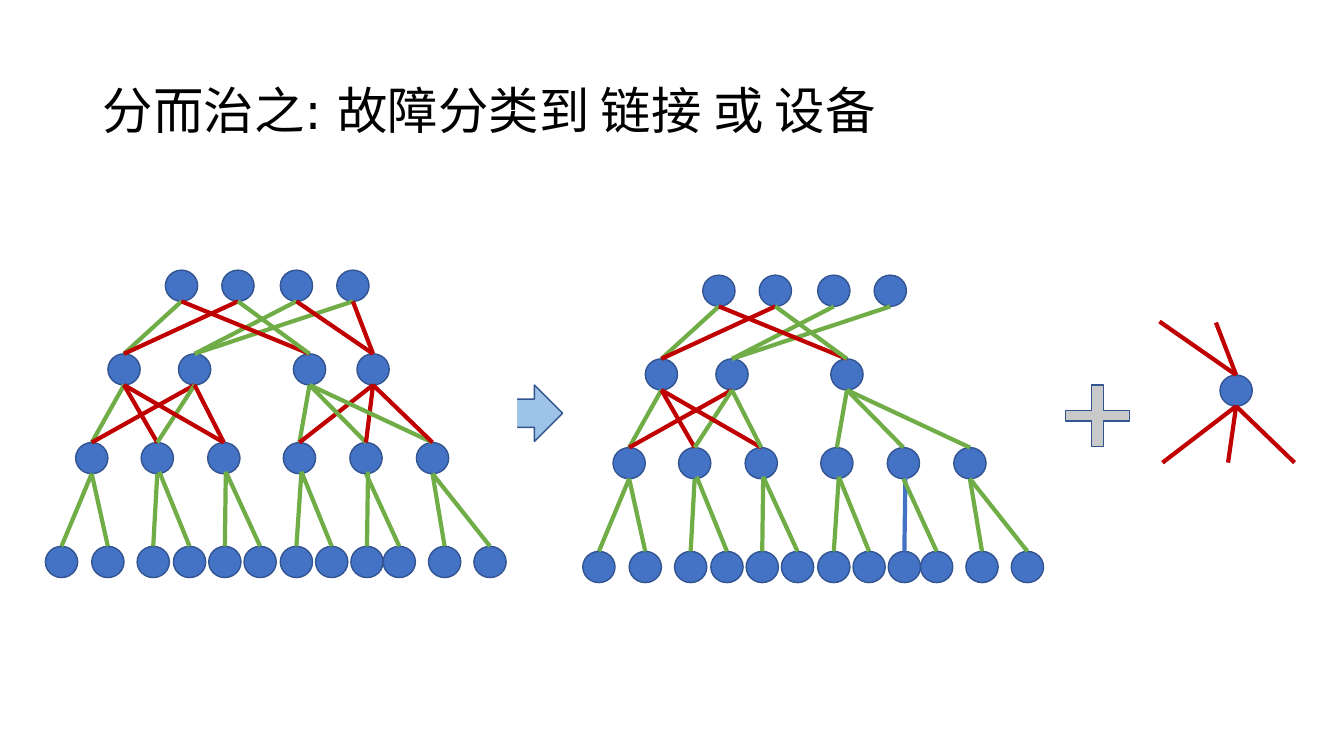
from dataclasses import dataclass

from lxml import etree
from pptx import Presentation
from pptx.dml.color import RGBColor
from pptx.enum import shapes, text
from pptx.oxml import ns
from pptx.util import Inches, Pt


@dataclass(frozen=True)
class Theme:
    font: str = "DejaVu Sans"
    title_size: int = 36
    ink: str = "000000"
    paper: str = "FFFFFF"
    node: str = "4472C4"
    outline: str = "325491"
    arrow: str = "9DC3E6"
    plus: str = "C9C9C9"
    healthy: str = "70AD47"
    faulty: str = "C00000"
    outline_width: float = 1
    link_width: float = 3


THEME = Theme()
TITLE = "分而治之: 故障分类到 链接 或 设备"
NODE_WIDTH, NODE_HEIGHT = 0.32, 0.31

LAYERS = {
    "core": (2.68, [1.8, 2.36, 2.94, 3.5]),
    "aggregation": (3.51, [1.23, 1.93, 3.07, 3.7]),
    "edge": (4.39, [0.91, 1.56, 2.22, 2.97, 3.63, 4.29]),
    "host": (5.42, [0.61, 1.07, 1.52, 1.88, 2.23, 2.58,
                    2.94, 3.29, 3.64, 3.96, 4.41, 4.86]),
}
LINKS = {
    ("core", "aggregation"): [(0, 0), (1, 0), (2, 1), (3, 1),
                              (0, 2), (1, 2), (2, 3), (3, 3)],
    ("aggregation", "edge"): [(0, 0), (1, 0), (0, 1), (1, 1), (0, 2), (1, 2),
                              (2, 3), (3, 3), (2, 4), (3, 4), (2, 5), (3, 5)],
    ("edge", "host"): [(host // 2, host) for host in range(12)],
}
CORE_FAULTS = {("core", 1, 0), ("core", 0, 2)}
POD_FAULTS = {("aggregation", 1, 0), ("aggregation", 0, 1), ("aggregation", 0, 2)}
FAULTY_DEVICE = ("aggregation", 3)
DEVICE_FAULTS = {("core", 2, 3), ("core", 3, 3), ("aggregation", 3, 3),
                 ("aggregation", 3, 4), ("aggregation", 3, 5)}
MARKED_LINK = ("edge", 4, 8)

TREES = [
    {"offset": (0, 0), "panel": (0.33, 2.46, 4.8, 3.58), "removed": None,
     "colors": dict.fromkeys(CORE_FAULTS | POD_FAULTS | DEVICE_FAULTS
                             | {("aggregation", 1, 2)}, THEME.faulty)},
    {"offset": (5.33, 0.05), "panel": None, "removed": FAULTY_DEVICE,
     "colors": {**dict.fromkeys(CORE_FAULTS | POD_FAULTS, THEME.faulty),
                MARKED_LINK: THEME.node}},
]
DEVICE = (12.26, 3.72)
DEVICE_LINKS_ABOVE = [(11.5, 3.19), (12.06, 3.2)]
DEVICE_LINKS_BELOW = [(11.53, 4.59), (12.18, 4.59), (12.84, 4.59)]


def add_solid(parent, preset, box, fill, outlined=True):
    shape = parent.add_shape(preset, *map(Inches, box))
    shape.shadow.inherit = False
    shape.fill.solid()
    shape.fill.fore_color.rgb = RGBColor.from_string(fill)
    if outlined:
        shape.line.color.rgb = RGBColor.from_string(THEME.outline)
        shape.line.width = Pt(THEME.outline_width)
    else:
        shape.line.fill.background()
    return shape


def add_node(parent, center, top):
    box = (center - NODE_WIDTH / 2, top, NODE_WIDTH, NODE_HEIGHT)
    add_solid(parent, shapes.MSO_SHAPE.FLOWCHART_CONNECTOR, box, THEME.node)


def add_link(parent, start, end, color):
    link = parent.add_connector(shapes.MSO_CONNECTOR.STRAIGHT,
                                *map(Inches, (*start, *end)))
    link.line.color.rgb = RGBColor.from_string(color)
    link.line.width = Pt(THEME.link_width)
    etree.SubElement(link._element.spPr, ns.qn("a:effectLst"))


def add_tree(slide, offset, panel, removed, colors):
    group = slide.shapes.add_group_shape().shapes
    dx, dy = offset
    if panel:
        add_solid(group, shapes.MSO_SHAPE.RECTANGLE, panel, THEME.paper, False)
    for layer, (top, centers) in LAYERS.items():
        for index, center in enumerate(centers):
            if (layer, index) != removed:
                add_node(group, center + dx, top + dy)
    for (upper, lower), pairs in LINKS.items():
        upper_top, upper_centers = LAYERS[upper]
        lower_top, lower_centers = LAYERS[lower]
        for parent, child in pairs:
            if removed in ((upper, parent), (lower, child)):
                continue
            shift = 0.02 if lower == "host" and 3 <= child <= 8 else 0
            start = (upper_centers[parent] + dx + shift,
                     upper_top + NODE_HEIGHT + dy - shift)
            end = (lower_centers[child] + dx, lower_top + dy)
            color = colors.get((upper, parent, child), THEME.healthy)
            add_link(group, start, end, color)


def add_title(slide):
    title = slide.shapes.title
    title.left, title.top, title.width, title.height = map(
        Inches, (0.92, 0.4, 11.5, 1.45))
    title.text_frame.text = TITLE
    title.text_frame.vertical_anchor = text.MSO_ANCHOR.MIDDLE
    paragraph = title.text_frame.paragraphs[0]
    paragraph.alignment = text.PP_ALIGN.LEFT
    paragraph.line_spacing = 0.9
    paragraph.font.name = THEME.font
    paragraph.font.size = Pt(THEME.title_size)
    paragraph.font.color.rgb = RGBColor.from_string(THEME.ink)


def add_faulty_device(slide):
    center, top = DEVICE
    add_node(slide.shapes, center, top)
    for end in DEVICE_LINKS_ABOVE:
        add_link(slide.shapes, end, DEVICE, THEME.faulty)
    for end in DEVICE_LINKS_BELOW:
        add_link(slide.shapes, end, (center, top + NODE_HEIGHT), THEME.faulty)


def main():
    presentation = Presentation()
    presentation.slide_width = Inches(13.33)
    presentation.slide_height = Inches(7.5)
    slide = presentation.slides.add_slide(presentation.slide_layouts[5])
    add_title(slide)
    add_solid(slide.shapes, shapes.MSO_SHAPE.RIGHT_ARROW,
              (4.82, 3.82, 0.76, 0.56), THEME.arrow)
    add_faulty_device(slide)
    plus = add_solid(slide.shapes, shapes.MSO_SHAPE.CROSS,
                     (10.57, 3.82, 0.63, 0.61), THEME.plus)
    plus.adjustments[0] = 0.416
    for tree in TREES:
        add_tree(slide, **tree)
    presentation.save("out.pptx")


if __name__ == "__main__":
    main()
